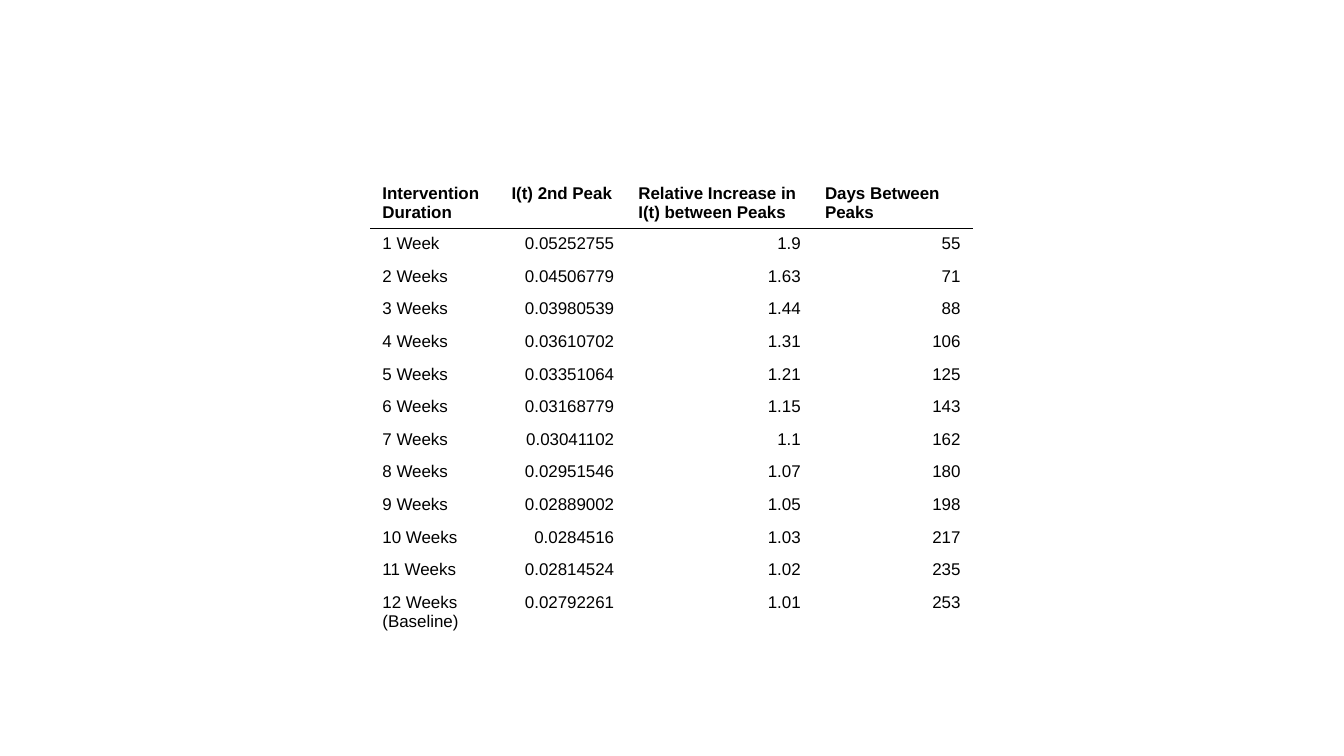
from typing import NamedTuple

from lxml.etree import SubElement
from pptx import Presentation
from pptx.dml.color import RGBColor
from pptx.enum.text import PP_ALIGN as Align
from pptx.oxml.ns import qn
from pptx.util import Pt

BLACK = RGBColor(0x00, 0x00, 0x00)
WHITE = RGBColor(0xFF, 0xFF, 0xFF)
FONT = "Arial"
BORDER_WIDTH = Pt(0.06)
HEADER_HEIGHT = 27.4
WEEK_HEIGHT = 19.28
BASELINE_HEIGHT = 30.9


class Column(NamedTuple):
    heading: str
    width: float
    align: Align


class Intervention(NamedTuple):
    duration: str
    second_peak: str
    relative_increase: str
    days_between: str


COLUMNS = [
    Column("Intervention Duration", 76.2, Align.LEFT),
    Column("I(t) 2nd Peak", 74.9, Align.RIGHT),
    Column("Relative Increase in I(t) between Peaks", 110.2, Align.RIGHT),
    Column("Days Between Peaks", 94.3, Align.RIGHT),
]

INTERVENTIONS = [
    Intervention("1 Week", "0.05252755", "1.9", "55"),
    Intervention("2 Weeks", "0.04506779", "1.63", "71"),
    Intervention("3 Weeks", "0.03980539", "1.44", "88"),
    Intervention("4 Weeks", "0.03610702", "1.31", "106"),
    Intervention("5 Weeks", "0.03351064", "1.21", "125"),
    Intervention("6 Weeks", "0.03168779", "1.15", "143"),
    Intervention("7 Weeks", "0.03041102", "1.1", "162"),
    Intervention("8 Weeks", "0.02951546", "1.07", "180"),
    Intervention("9 Weeks", "0.02889002", "1.05", "198"),
    Intervention("10 Weeks", "0.0284516", "1.03", "217"),
    Intervention("11 Weeks", "0.02814524", "1.02", "235"),
    Intervention("12 Weeks (Baseline)", "0.02792261", "1.01", "253"),
]


def set_borders(cell, *, top: RGBColor, bottom: RGBColor) -> None:
    properties = cell._tc.get_or_add_tcPr()
    sides = {"a:lnL": WHITE, "a:lnR": WHITE, "a:lnT": top, "a:lnB": bottom}
    for tag, color in sides.items():
        line = SubElement(properties, qn(tag), w=str(BORDER_WIDTH))
        fill = SubElement(line, qn("a:solidFill"))
        SubElement(fill, qn("a:srgbClr"), val=str(color))


def write_cell(cell, text: str, *, align: Align, bold: bool = False,
               top: RGBColor = WHITE, bottom: RGBColor = WHITE) -> None:
    set_borders(cell, top=top, bottom=bottom)
    cell.fill.background()
    cell.margin_left = cell.margin_right = Pt(7.2)
    cell.margin_top = cell.margin_bottom = Pt(3.6)
    paragraph = cell.text_frame.paragraphs[0]
    paragraph.alignment = align
    run = paragraph.add_run()
    run.text = text
    run.font.name = FONT
    run.font.size = Pt(10)
    run.font.bold = bold
    run.font.color.rgb = BLACK


def add_intervention_table(slide, left: float, top: float) -> None:
    weeks = len(INTERVENTIONS)
    heights = [HEADER_HEIGHT, *[WEEK_HEIGHT] * (weeks - 1), BASELINE_HEIGHT]
    width = sum(column.width for column in COLUMNS)
    table = slide.shapes.add_table(
        len(heights), len(COLUMNS), Pt(left), Pt(top), Pt(width), Pt(sum(heights))
    ).table
    table.horz_banding = False
    for row, height in zip(table.rows, heights):
        row.height = Pt(height)
    for column_index, column in enumerate(COLUMNS):
        table.columns[column_index].width = Pt(column.width)
        write_cell(table.cell(0, column_index), column.heading,
                   align=Align.LEFT, bold=True, bottom=BLACK)
        for row_index, intervention in enumerate(INTERVENTIONS, start=1):
            write_cell(table.cell(row_index, column_index), intervention[column_index],
                       align=column.align, top=BLACK if row_index == 1 else WHITE)


presentation = Presentation()
presentation.slide_width = Pt(793.44)
presentation.slide_height = Pt(446.4)
slide = presentation.slides.add_slide(presentation.slide_layouts[6])
add_intervention_table(slide, left=218.6, top=105.1)
presentation.save("out.pptx")
